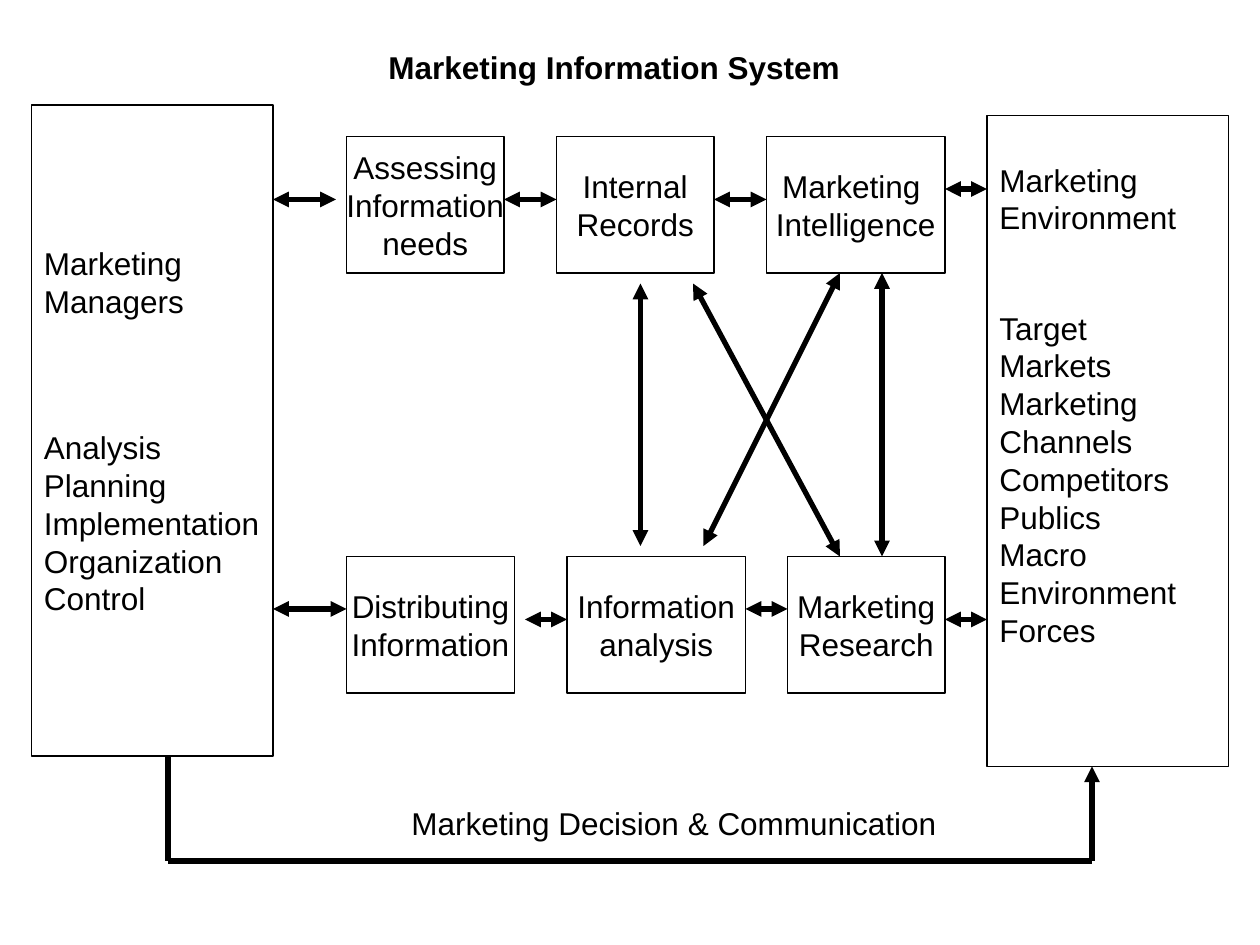
import pptx
import pptx.util
import pptx.dml.color
import pptx.enum.shapes
import pptx.enum.text
import pptx.oxml.ns
import lxml.etree

Pt = pptx.util.Pt
ALIGN = pptx.enum.text.PP_ALIGN
ANCHOR = pptx.enum.text.MSO_ANCHOR
INK, PAPER = "000000", "FFFFFF"
LINE = 20.7


def tint(code):
    return pptx.dml.color.RGBColor.from_string(code)


def write(frame, text, align, anchor, wrap, bold=False):
    frame.text = text
    frame.word_wrap = wrap
    frame.auto_size = pptx.enum.text.MSO_AUTO_SIZE.NONE
    frame.vertical_anchor = anchor
    frame.margin_left = frame.margin_right = Pt(7.2)
    frame.margin_top = frame.margin_bottom = Pt(3.6)
    for para in frame.paragraphs:
        para.alignment = align
        para.space_before = Pt(0)
        for run in para.runs:
            run.font.name = "Arial"
            run.font.size = Pt(18)
            run.font.bold = bold
            run.font.color.rgb = tint(INK)


def panel(slide, box, text, align=ALIGN.CENTER):
    shape = slide.shapes.add_shape(
        pptx.enum.shapes.MSO_SHAPE.RECTANGLE, *map(Pt, box))
    shape.shadow.inherit = False
    shape.fill.solid()
    shape.fill.fore_color.rgb = tint(PAPER)
    shape.line.color.rgb = tint(INK)
    shape.line.width = Pt(0.75)
    write(shape.text_frame, text, align, ANCHOR.MIDDLE, False)
    return shape.text_frame


def side(slide, box, text, start, gap, below=0):
    frame = panel(slide, box, text, ALIGN.LEFT)
    frame.paragraphs[start].space_before = Pt(gap * LINE)
    frame.margin_bottom = Pt(3.6 + below * LINE)


def row(slide, box, parts):
    left, top, width, height = box
    for shift, span, text in parts:
        panel(slide, (left + shift, top, span, height), text)


def link(slide, start, end, heads=("headEnd", "tailEnd")):
    line = slide.shapes.add_connector(
        pptx.enum.shapes.MSO_CONNECTOR.STRAIGHT, *map(Pt, start + end))
    line.line.color.rgb = tint(INK)
    line.line.width = Pt(3)
    stroke = line.line._get_or_add_ln()
    for head in heads:
        lxml.etree.SubElement(
            stroke, pptx.oxml.ns.qn("a:" + head), type="triangle")
    lxml.etree.SubElement(
        line._element.spPr, pptx.oxml.ns.qn("a:effectLst"))


def links(slide, box, pairs):
    left, top = box[:2]
    for x1, y1, x2, y2 in pairs:
        link(slide, (left + x1, top + y1), (left + x2, top + y2))


def loop(slide, box, rise, text):
    left, top, width, height = box
    right, base = left + width, top + height
    link(slide, (left, top), (left, base), ())
    link(slide, (left, base), (right, base), ())
    link(slide, (right, base), (right, top + rise), ("tailEnd",))
    label = slide.shapes.add_textbox(
        Pt(left + 132), Pt(top + 24), Pt(342), Pt(29))
    write(label.text_frame, text, ALIGN.LEFT, ANCHOR.TOP, True)


def head(slide, box, text):
    title = slide.shapes.title
    title.left, title.top, title.width, title.height = map(Pt, box)
    write(title.text_frame, text, ALIGN.CENTER, ANCHOR.TOP, True, True)


def main():
    deck = pptx.Presentation()
    deck.slide_width, deck.slide_height = Pt(720), Pt(540)
    slide = deck.slides.add_slide(deck.slide_layouts[5])

    head(slide, (180, 24, 342, 29), "Marketing Information System")
    side(slide, (18, 60, 138, 372),
         "Marketing\nManagers\nAnalysis\nPlanning\nImplementation\n"
         "Organization\nControl", 2, 3)
    side(slide, (564, 66, 138, 372),
         "Marketing\nEnvironment\nTarget\nMarkets\nMarketing\nChannels\n"
         "Competitors\nPublics\nMacro\nEnvironment\nForces", 2, 2, 2)

    row(slide, (198, 78, 342, 78), [
        (0, 90, "Assessing\nInformation\nneeds"),
        (120, 90, "Internal\nRecords"),
        (240, 102, "Marketing \nIntelligence"),
    ])
    row(slide, (198, 318, 342, 78), [
        (0, 96, "Distributing\nInformation"),
        (126, 102, "Information\nanalysis"),
        (252, 90, "Marketing\nResearch"),
    ])

    links(slide, (156, 78, 408, 78), [
        (0, 36, 36, 36),
        (132, 36, 162, 36),
        (252, 36, 282, 36),
        (384, 30, 408, 30),
    ])
    links(slide, (156, 318, 408, 78), [
        (0, 30, 42, 30),
        (144, 36, 168, 36),
        (270, 30, 294, 30),
        (384, 36, 408, 36),
    ])
    links(slide, (366, 156, 138, 162), [
        (0, 6, 0, 156),
        (138, 0, 138, 162),
        (30, 6, 114, 162),
        (114, 0, 36, 156),
    ])
    loop(slide, (96, 432, 528, 60), 6, "Marketing Decision & Communication")
    deck.save("out.pptx")


if __name__ == "__main__":
    main()
